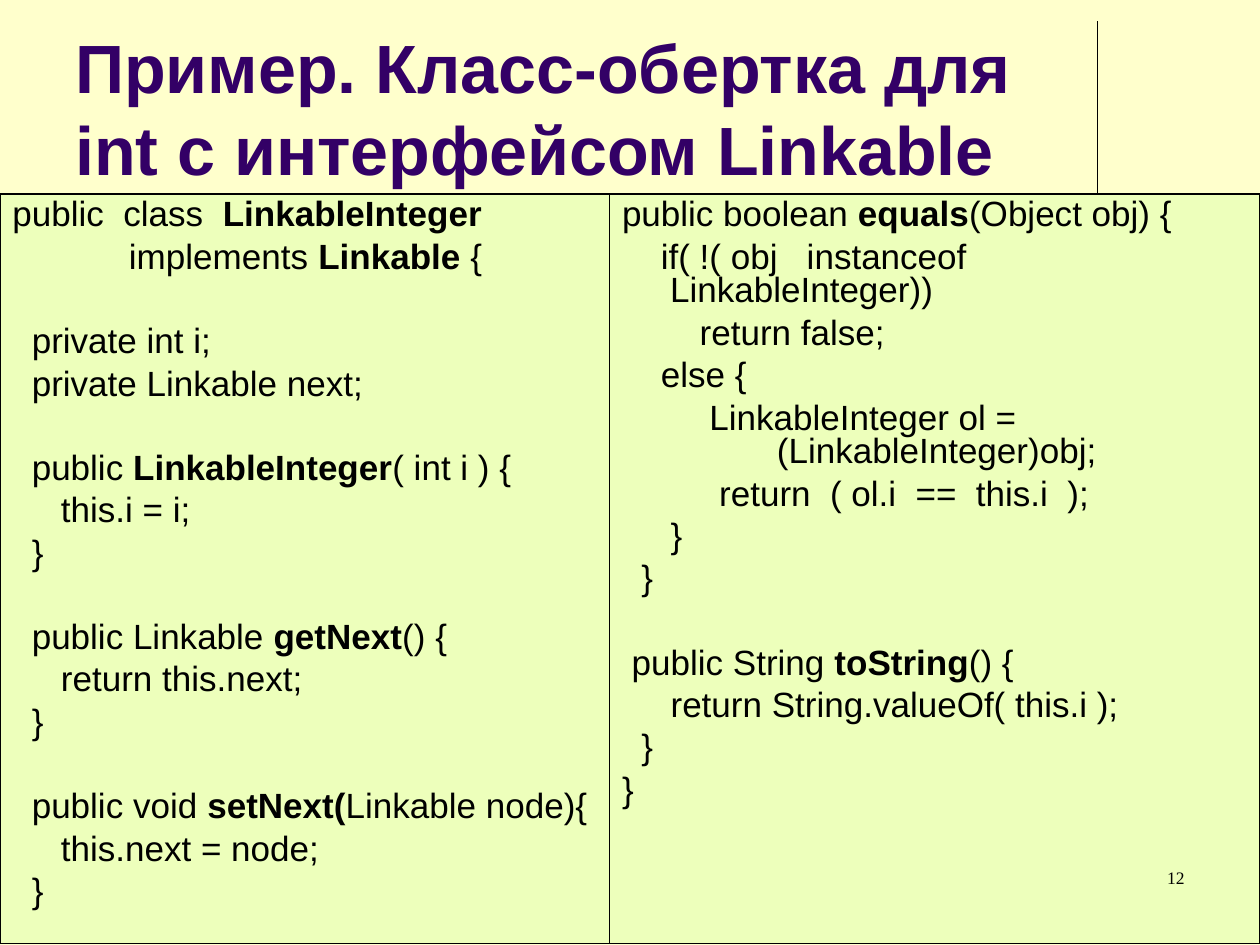
"""Build a slide showing a wrapper class for int in two code panels."""
from dataclasses import dataclass

from lxml.etree import SubElement
from pptx import Presentation
from pptx.dml.color import RGBColor as Rgb
from pptx.enum.shapes import MSO_CONNECTOR as Connector, MSO_SHAPE as Preset
from pptx.enum.text import MSO_ANCHOR as Anchor, PP_ALIGN as Align
from pptx.oxml.ns import qn
from pptx.util import Cm, Pt


@dataclass(frozen=True)
class Theme:
    background: Rgb = Rgb(0xFF, 0xFF, 0xCC)
    panel: Rgb = Rgb(0xED, 0xFF, 0xBB)
    ink: Rgb = Rgb(0, 0, 0)
    heading: Rgb = Rgb(0x33, 0x00, 0x66)
    font: str = "Arial"
    number_font: str = "Times New Roman"
    heading_size: float = 39
    code_size: float = 20
    number_size: float = 10
    line_gap: float = 5
    block_gap: float = 29
    code_spacing: float = 0.8
    code_indent: float = 0.97
    rule_width: float = 0.75


@dataclass(frozen=True)
class Panel:
    left: float
    width: float
    border: float
    code: str


THEME = Theme()
PANEL_TOP, PANEL_HEIGHT = 3.91, 15.11

LINKABLE_CODE = """\
public  class  **LinkableInteger**
            implements **Linkable** {

  private int i;
  private Linkable next;

  public **LinkableInteger**( int i ) {
     this.i = i;
  }

  public Linkable **getNext**() {
     return this.next;
  }

  public void **setNext(**Linkable node){
     this.next = node;
  }"""

OBJECT_CODE = """\
public boolean **equals**(Object obj) {
    if( !( obj   instanceof|LinkableInteger))
        return false;
    else {
         LinkableInteger ol =|           (LinkableInteger)obj;
          return  ( ol.i  ==  this.i  );
     }
  }

 public String **toString**() {
     return String.valueOf( this.i );
  }
}"""

PANELS = (
    Panel(0, 12.5, 1, LINKABLE_CODE),
    Panel(12.29, 13.11, THEME.rule_width, OBJECT_CODE),
)


def write(paragraph, text: str, *, size: float, color: Rgb = THEME.ink,
          font: str = THEME.font, bold: bool = False, align=Align.LEFT) -> None:
    """Write text where ** toggles bold and | breaks the line."""
    paragraph.alignment = align
    for row, line in enumerate(text.split("|")):
        if row:
            paragraph.add_line_break()
        for order, piece in enumerate(line.split("**")):
            if piece:
                run = paragraph.add_run()
                run.text = piece
                run.font.name = font
                run.font.size = Pt(size)
                run.font.bold = bold or order % 2 == 1
                run.font.color.rgb = color


def add_label(slide, left: float, top: float, width: float, height: float,
              text: str, anchor=Anchor.TOP, **style) -> None:
    """Add a wrapped text box with one paragraph."""
    frame = slide.shapes.add_textbox(Cm(left), Cm(top), Cm(width), Cm(height)).text_frame
    frame.word_wrap = True
    frame.vertical_anchor = anchor
    write(frame.paragraphs[0], text, **style)


def add_rule(slide, x: float, top: float, bottom: float) -> None:
    """Add a thin vertical rule."""
    rule = slide.shapes.add_connector(Connector.STRAIGHT, Cm(x), Cm(top), Cm(x), Cm(bottom))
    rule.line.color.rgb = THEME.ink
    rule.line.width = Pt(THEME.rule_width)
    SubElement(rule._element.spPr, qn("a:effectLst"))


def add_panel(slide, panel: Panel) -> None:
    """Add a bordered panel, turning empty code lines into wider spacing."""
    box = slide.shapes.add_shape(Preset.RECTANGLE, Cm(panel.left), Cm(PANEL_TOP),
                                 Cm(panel.width), Cm(PANEL_HEIGHT))
    box.shadow.inherit = False
    box.fill.solid()
    box.fill.fore_color.rgb = THEME.panel
    box.line.color.rgb = THEME.ink
    box.line.width = Pt(panel.border)
    frame = box.text_frame
    frame.word_wrap = True
    frame.vertical_anchor = Anchor.TOP
    paragraph, gap = frame.paragraphs[0], 0
    for line in panel.code.splitlines():
        if not line:
            gap = THEME.block_gap
            continue
        if paragraph.runs:
            paragraph = frame.add_paragraph()
        paragraph.space_before = Pt(gap)
        paragraph.line_spacing = THEME.code_spacing
        indent = Cm(THEME.code_indent)
        properties = paragraph._p.get_or_add_pPr()
        properties.set("marL", str(indent))
        properties.set("indent", str(-indent))
        write(paragraph, line, size=THEME.code_size)
        gap = THEME.line_gap


def main() -> None:
    """Build and save the slide."""
    deck = Presentation()
    deck.slide_width, deck.slide_height = Cm(25.4), Cm(19.05)
    slide = deck.slides.add_slide(deck.slide_layouts[6])
    slide.background.fill.solid()
    slide.background.fill.fore_color.rgb = THEME.background
    add_rule(slide, 22.12, 0.43, 4.65)
    add_label(slide, 1.27, 0.33, 20.96, 3.61,
              "Пример. Класс-обертка для int с интерфейсом Linkable", Anchor.BOTTOM,
              size=THEME.heading_size, color=THEME.heading, bold=True)
    for panel in PANELS:
        add_panel(slide, panel)
    add_label(slide, 18.21, 17.35, 5.92, 1.27, "12", size=THEME.number_size,
              font=THEME.number_font, align=Align.RIGHT)
    deck.save("out.pptx")


if __name__ == "__main__":
    main()
